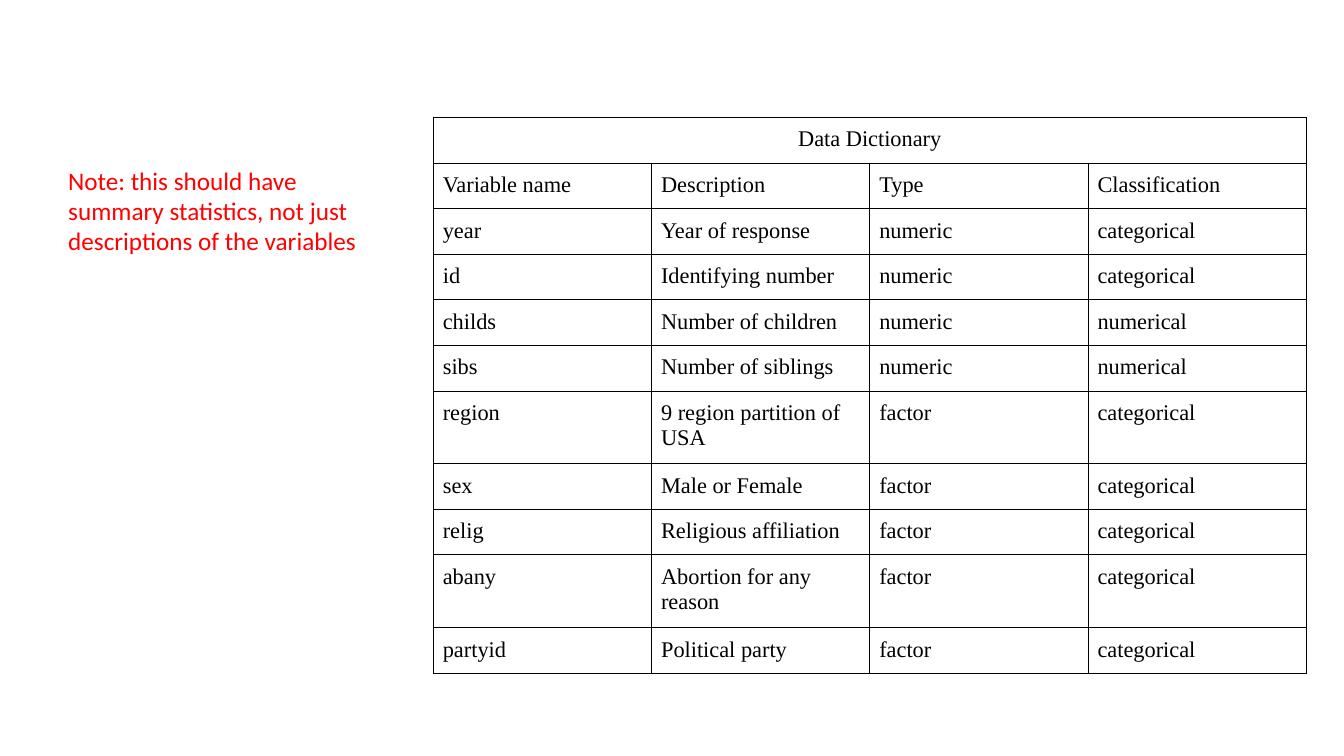
from dataclasses import dataclass

import pptx
import pptx.dml.color
import pptx.enum.text
import pptx.oxml
import pptx.oxml.ns
import pptx.util
from pptx.util import Cm


@dataclass(frozen=True)
class Theme:
    ink: str = "000000"
    paper: str = "FFFFFF"
    note: str = "FF0000"
    table_font: str = "Times New Roman"
    note_font: str = "Calibri"
    table_size: int = 16
    note_size: int = 18
    border: float = 0.75


THEME = Theme()

TITLE = "Data Dictionary"
HEADER = ("Variable name", "Description", "Type", "Classification")
VARIABLES = (
    ("year", "Year of response", "numeric", "categorical"),
    ("id", "Identifying number", "numeric", "categorical"),
    ("childs", "Number of children", "numeric", "numerical"),
    ("sibs", "Number of siblings", "numeric", "numerical"),
    ("region", "9 region partition of USA", "factor", "categorical"),
    ("sex", "Male or Female", "factor", "categorical"),
    ("relig", "Religious affiliation", "factor", "categorical"),
    ("abany", "Abortion for any reason", "factor", "categorical"),
    ("partyid", "Political party", "factor", "categorical"),
)
NOTE = "Note: this should have summary statistics, not just descriptions of the variables"

COLUMN_WIDTH = Cm(5.5)
ROW_HEIGHT = Cm(1.15)
TWO_LINE_HEIGHT = Cm(1.83)
TWO_LINE_ROWS = ("region", "abany")
CELL_MARGIN = Cm(0.24)


def rgb(value):
    return pptx.dml.color.RGBColor.from_string(value)


def set_font(p, name, size, color):
    p.font.name = name
    p.font.size = pptx.util.Pt(size)
    p.font.color.rgb = rgb(color)


def set_borders(cell):
    tc_pr = cell._tc.get_or_add_tcPr()
    for i, side in enumerate("LRTB"):
        line = pptx.oxml.parse_xml(
            f'<a:ln{side} {pptx.oxml.ns.nsdecls("a")} w="{pptx.util.Pt(THEME.border)}">'
            f'<a:solidFill><a:srgbClr val="{THEME.ink}"/></a:solidFill></a:ln{side}>'
        )
        tc_pr.insert(i, line)


def style_cell(cell):
    cell.margin_left = cell.margin_right = CELL_MARGIN
    cell.margin_top = cell.margin_bottom = CELL_MARGIN
    cell.fill.solid()
    cell.fill.fore_color.rgb = rgb(THEME.paper)
    set_borders(cell)
    set_font(cell.text_frame.paragraphs[0], THEME.table_font, THEME.table_size, THEME.ink)


def add_dictionary(s, left, top):
    rows = ((TITLE,), HEADER, *VARIABLES)
    heights = [TWO_LINE_HEIGHT if row[0] in TWO_LINE_ROWS else ROW_HEIGHT for row in rows]
    columns = len(HEADER)
    table = s.shapes.add_table(
        len(rows), columns, left, top, COLUMN_WIDTH * columns, sum(heights)
    ).table
    table.horz_banding = False
    table.first_row = False
    for column in table.columns:
        column.width = COLUMN_WIDTH
    for i, (row, height) in enumerate(zip(rows, heights)):
        table.rows[i].height = height
        for j, text in enumerate(row):
            table.cell(i, j).text = text
    for cell in table.iter_cells():
        style_cell(cell)
    title = table.cell(0, 0)
    title.merge(table.cell(0, columns - 1))
    title.text_frame.paragraphs[0].alignment = pptx.enum.text.PP_ALIGN.CENTER


def add_note(s, text, left, top, width, height):
    tf = s.shapes.add_textbox(left, top, width, height).text_frame
    tf.word_wrap = True
    tf.auto_size = pptx.enum.text.MSO_AUTO_SIZE.SHAPE_TO_FIT_TEXT
    p = tf.paragraphs[0]
    p.text = text
    set_font(p, THEME.note_font, THEME.note_size, THEME.note)


def main():
    prs = pptx.Presentation()
    prs.slide_width = Cm(33.87)
    prs.slide_height = Cm(19.05)
    s = prs.slides.add_slide(prs.slide_layouts[6])
    add_dictionary(s, Cm(10.92), Cm(2.96))
    add_note(s, NOTE, Cm(1.47), Cm(4.04), Cm(8.1), Cm(2.57))
    prs.save("out.pptx")


if __name__ == "__main__":
    main()
